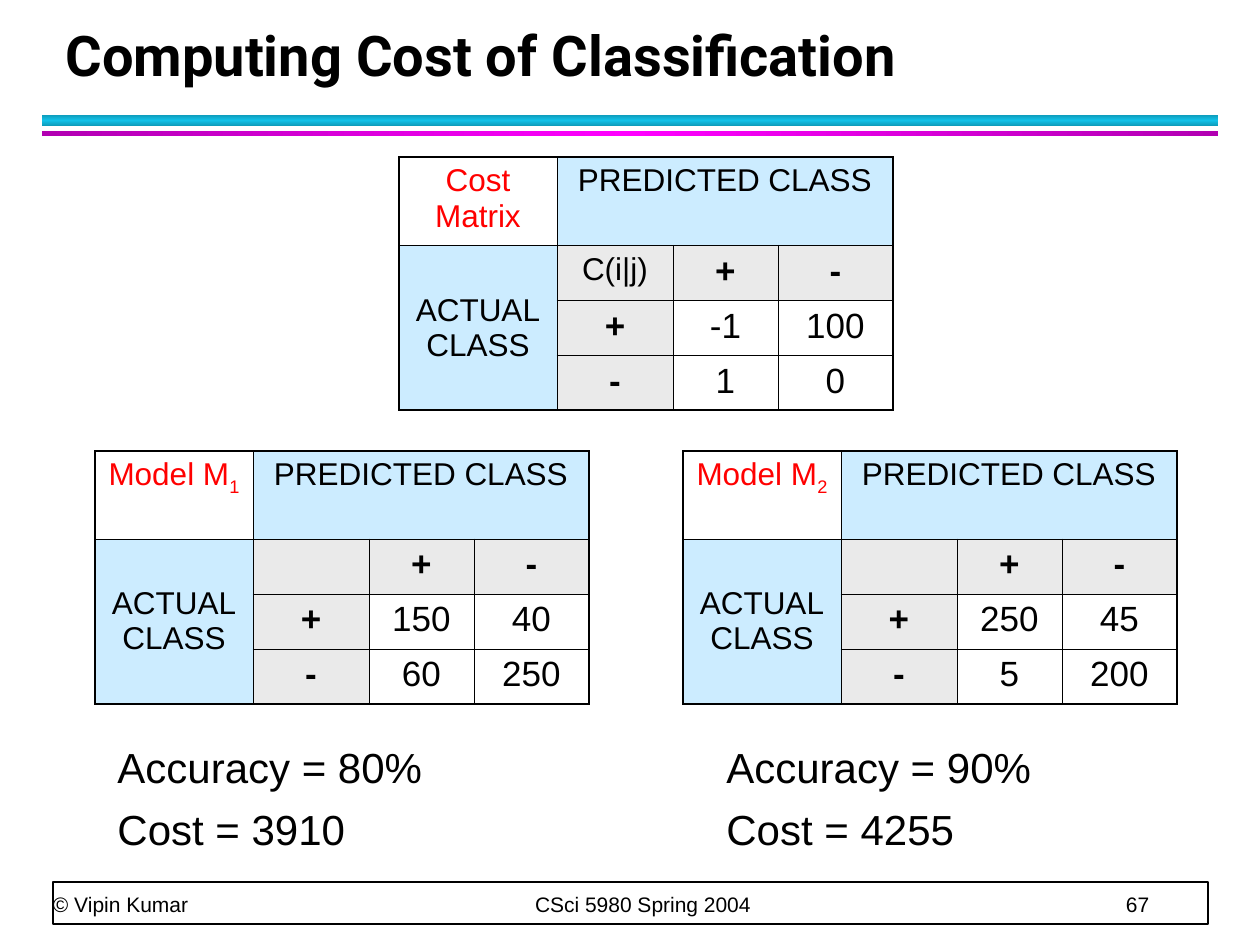
"""Builds a slide that compares two classifiers by a cost matrix."""
from copy import deepcopy
from lxml.etree import SubElement as Sub
from pptx import Presentation
from pptx.dml.color import RGBColor as Rgb
from pptx.enum.shapes import MSO_SHAPE as Kind
from pptx.enum.text import MSO_ANCHOR as Anchor, PP_ALIGN as Align
from pptx.oxml.ns import qn
from pptx.util import Pt

PX = 914400 / 126
HUE = {
    "black": "000000", "white": "FFFFFF", "red": "FF0000",
    "blue": "CCECFF", "gray": "EAEAEA",
    "teal": "0E9BBA", "cyan": "12C2E9", "plum": "B200B2", "pink": "FF00FF",
}


def put(para, text, size=18, hue="black", font="Arial", bold=False, base=0,
        align=None, before=0, after=0, line=None):
    para.alignment = align
    para.space_before, para.space_after = Pt(before), Pt(after)
    if line:
        para.line_spacing = Pt(line)
    for i, part in enumerate(text.split("\n")):
        if i:
            para.add_line_break()
        run = para.add_run()
        run.text = part
        run.font.size, run.font.name, run.font.bold = Pt(size), font, bold
        run.font.color.rgb = Rgb.from_string(HUE[hue])
        if base:
            run._r.get_or_add_rPr().set("baseline", str(base * 1000))


def box(*at, anchor=Anchor.TOP, pad=True):
    frame = slide.shapes.add_textbox(*[round(n * PX) for n in at]).text_frame
    frame.word_wrap, frame.vertical_anchor = True, anchor
    if not pad:
        frame.margin_left = frame.margin_right = 0
        frame.margin_top = frame.margin_bottom = 0
    return frame


deck = Presentation()
deck.slide_width, deck.slide_height = round(1260 * PX), round(945 * PX)
slide = deck.slides.add_slide(deck.slide_layouts[6])

for top, high, edge, mid, turn in [(115, 11, "teal", "cyan", 90),
                                   (131, 5, "plum", "pink", 0)]:
    at = [round(n * PX) for n in (42, top, 1176, high)]
    bar = slide.shapes.add_shape(Kind.RECTANGLE, *at)
    bar.shadow.inherit = False
    bar.line.fill.background()
    bar.fill.gradient()
    bar.fill.gradient_angle = turn
    stops = bar.fill.gradient_stops
    stops[0].color.rgb = Rgb.from_string(HUE[edge])
    stops[1].color.rgb = Rgb.from_string(HUE[mid])
    stops[1].position = 0.5
    group = bar._element.spPr.find(".//" + qn("a:gsLst"))
    last = deepcopy(group[0])
    last.set("pos", "100000")
    group.append(last)

foot = slide.shapes.add_shape(
    Kind.RECTANGLE, *[round(n * PX) for n in (53, 882, 1155, 42)])
foot.shadow.inherit = False
foot.fill.solid()
foot.fill.fore_color.rgb = Rgb.from_string(HUE["white"])
foot.line.color.rgb = Rgb.from_string(HUE["black"])
foot.line.width = Pt(1)

para = box(53, 847, 1153, 70, anchor=Anchor.BOTTOM, pad=False).paragraphs[0]
put(para, "© Vipin Kumar\tCSci 5980 Spring 2004\t67", size=12, line=20)
tabs = Sub(para._p.get_or_add_pPr(), qn("a:tabLst"))
for stop in (482, 1073):
    Sub(tabs, qn("a:tab"), pos=str(round(stop * PX)), algn="l")

title = box(53, 21, 1142, 73, anchor=Anchor.BOTTOM)
put(title.paragraphs[0], "Computing Cost of Classification", size=32,
    font="Roboto", bold=True, line=36)

WIDE, HIGH = (158, 116, 105, 115), (88, 55, 55, 55)
GRIDS = [
    (399, 157, "Cost Matrix", "", "C(i|j)", ("-1", "100"), ("1", "0")),
    (95, 451, "Model M", "1", "", ("150", "40"), ("60", "250")),
    (683, 451, "Model M", "2", "", ("250", "45"), ("5", "200")),
]
for left, top, name, sub, key, plus, minus in GRIDS:
    at = [round(n * PX) for n in (left, top, sum(WIDE), sum(HIGH))]
    grid = slide.shapes.add_table(4, 4, *at).table
    grid.first_row = grid.horz_banding = False
    for col, wide in zip(grid.columns, WIDE):
        col.width = round(wide * PX)
    for row, high in zip(grid.rows, HIGH):
        row.height = round(high * PX)
    grid.cell(0, 1).merge(grid.cell(0, 3))
    grid.cell(1, 0).merge(grid.cell(3, 0))
    rows = [(name, "PREDICTED CLASS", "", ""), ("ACTUAL\nCLASS", key, "+", "-"),
            ("", "+", *plus), ("", "-", *minus)]
    for r, row in enumerate(rows):
        for c, text in enumerate(row):
            cell = grid.cell(r, c)
            label = r == 0 or c == 0
            head = not label and (r == 1 or c == 1)
            outer = {"L": c == 0, "R": c + cell.span_width == 4,
                     "T": r == 0, "B": r + cell.span_height == 4}
            prop = cell._tc.get_or_add_tcPr()
            for side, thick in outer.items():
                rule = Sub(prop, qn("a:ln" + side),
                           w=str(Pt(1.08 if thick else 0.45)))
                fill = Sub(rule, qn("a:solidFill"))
                Sub(fill, qn("a:srgbClr"), val=HUE["black"])
            if head or (label and r + c):
                cell.fill.solid()
                tone = HUE["gray" if head else "blue"]
                cell.fill.fore_color.rgb = Rgb.from_string(tone)
            else:
                cell.fill.background()
            if cell.is_merge_origin and c == 0:
                cell.vertical_anchor = Anchor.MIDDLE
            if not text:
                continue
            small = label or (r, c) == (1, 1)
            look = {"size": 18 if small else 20, "align": Align.CENTER,
                    "hue": "black" if r + c else "red",
                    "before": 2.2 if small else 2.5, "after": 4}
            para = cell.text_frame.paragraphs[0]
            put(para, text, bold=head and not small, **look)
            if sub and r + c == 0:
                put(para, sub, base=-25, **look)

for left, rate, cost in [(105, "90%", "4255")][:0] + [(105, "80%", "3910"),
                                                      (714, "90%", "4255")]:
    frame = box(left, 735, 420, 136)
    put(frame.paragraphs[0], f"Accuracy = {rate}", size=24, before=3, after=4)
    put(frame.add_paragraph(), f"Cost = {cost}", size=24, before=3, after=4)

deck.save("out.pptx")
